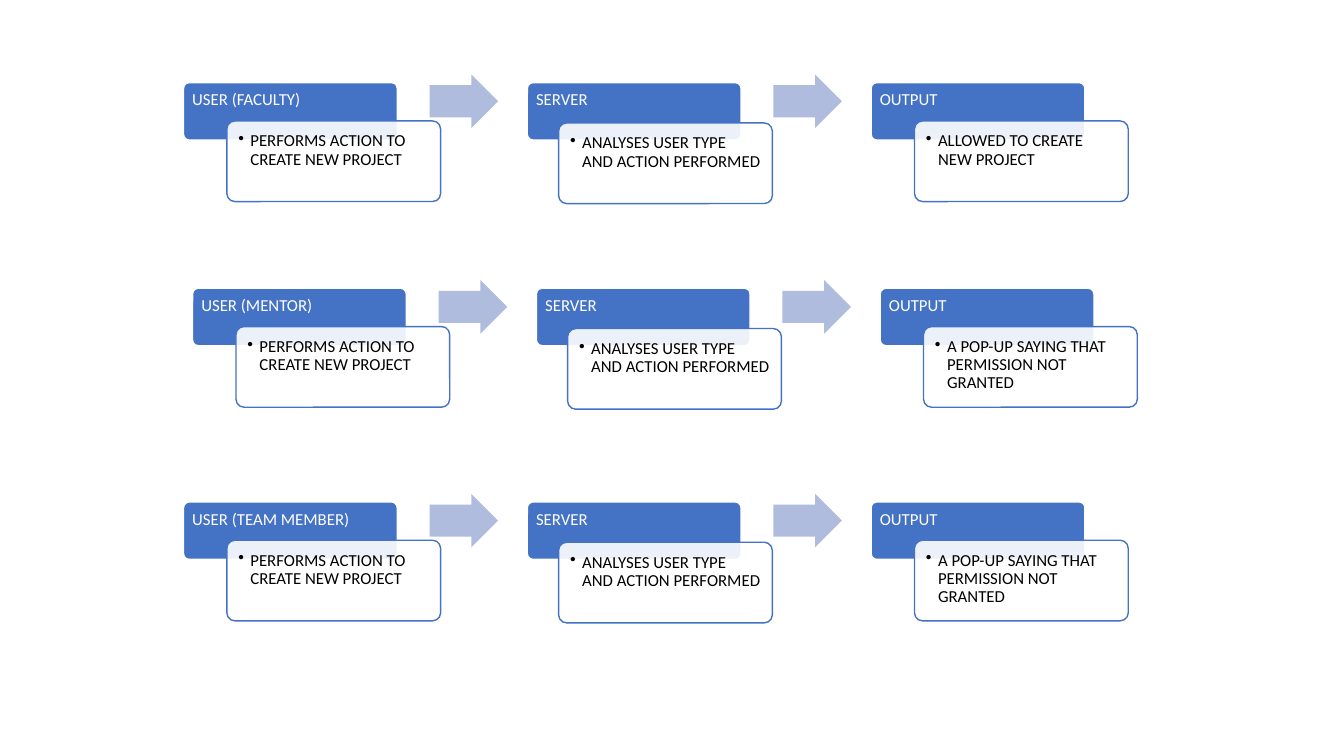
from lxml.etree import SubElement
from pptx import Presentation
from pptx.dml.color import RGBColor
from pptx.enum.shapes import MSO_SHAPE as Shape
from pptx.enum.text import MSO_ANCHOR as Anchor, PP_ALIGN as Align
from pptx.oxml.ns import qn
from pptx.util import Inches, Pt

BLUE, PALE_BLUE, WHITE, BLACK = "4472C4", "B0BCDE", "FFFFFF", "000000"
COLUMN_STEP = 3.41
BOX_WIDTH, HEADER_HEIGHT, CARD_HEIGHT = 2.12, 0.57, 0.8
ARROW_WIDTH, ARROW_HEIGHT = 0.68, 0.53

PERFORMS = "PERFORMS ACTION TO CREATE NEW PROJECT"
ANALYSES = "ANALYSES USER TYPE AND ACTION PERFORMED"
REFUSED = "A POP-UP SAYING THAT PERMISSION NOT GRANTED"

# Left and top of each flow, the user it starts from and the output it ends in
FLOWS = [
    (1.82, 0.82, "USER (FACULTY)", "ALLOWED TO CREATE NEW PROJECT"),
    (1.91, 2.86, "USER (MENTOR)", REFUSED),
    (1.82, 4.98, "USER (TEAM MEMBER)", REFUSED),
]


def add_filled(group, kind, left, top, width, height, fill, line=None):
    shape = group.shapes.add_shape(
        kind, Inches(left), Inches(top), Inches(width), Inches(height))
    shape.shadow.inherit = False
    shape.fill.solid()
    shape.fill.fore_color.rgb = RGBColor.from_string(fill)
    if line:
        shape.line.color.rgb = RGBColor.from_string(line)
        shape.line.width = Pt(1)
    else:
        shape.line.fill.background()
    return shape


def write(shape, text, color, inset):
    """Round the shape's corners, set its text at top left, return the paragraph."""
    shape.adjustments[0] = 0.1
    frame = shape.text_frame
    frame.text = text
    frame.word_wrap = True
    frame.vertical_anchor = Anchor.TOP
    frame.margin_left = frame.margin_right = frame.margin_top = Inches(inset)
    para = frame.paragraphs[0]
    para.alignment = Align.LEFT
    para.line_spacing = 0.9
    span = para.runs[0]
    span.font.name = "Calibri"
    span.font.size = Pt(12)
    span.font.color.rgb = RGBColor.from_string(color)
    return para


deck = Presentation()
deck.slide_width, deck.slide_height = Inches(13.33), Inches(7.5)
page = deck.slides.add_slide(deck.slide_layouts[6])

for flow_left, top, user, result in FLOWS:
    flow = page.shapes.add_group_shape()
    # Each step: heading, detail, and the shift of its card from its header
    steps = [
        (user, PERFORMS, 0.43, 0.38),
        ("SERVER", ANALYSES, 0.31, 0.4),
        ("OUTPUT", result, 0.43, 0.38),
    ]
    for column, (heading, detail, shift_x, shift_y) in enumerate(steps):
        left = flow_left + column * COLUMN_STEP
        header = add_filled(flow, Shape.ROUNDED_RECTANGLE, left, top,
                            BOX_WIDTH, HEADER_HEIGHT, BLUE, WHITE)
        write(header, heading, WHITE, 0.07)

        card = add_filled(flow, Shape.ROUNDED_RECTANGLE, left + shift_x, top + shift_y,
                          BOX_WIDTH, CARD_HEIGHT, WHITE, BLUE)
        card_color = card.fill._xPr.find(qn("a:solidFill"))[0]
        SubElement(card_color, qn("a:alpha"), val="90000")
        para = write(card, detail, BLACK, 0.09)
        properties = para._p.get_or_add_pPr()
        properties.set("marL", str(Inches(0.12)))
        properties.set("indent", str(-Inches(0.12)))
        SubElement(properties, qn("a:buChar"), char="•")

        if column < len(steps) - 1:
            arrow = add_filled(flow, Shape.RIGHT_ARROW, left + 2.44, top - 0.08,
                               ARROW_WIDTH, ARROW_HEIGHT, PALE_BLUE)
            arrow.adjustments[0] = 0.6

deck.save("out.pptx")
